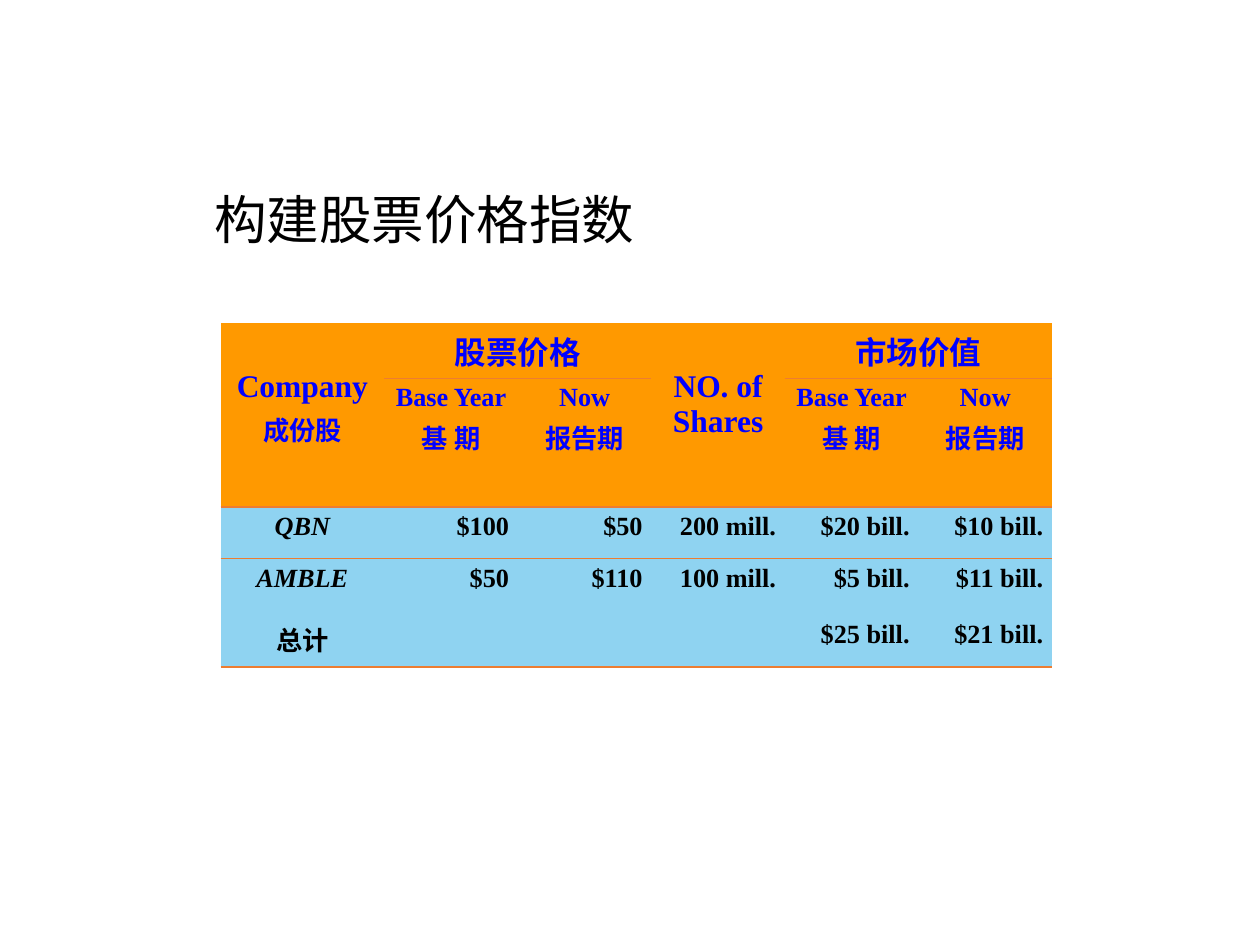
from lxml.etree import SubElement
from pptx import Presentation
from pptx.dml.color import RGBColor
from pptx.enum.text import MSO_ANCHOR as Anchor, PP_ALIGN as Align
from pptx.oxml.ns import qn
from pptx.util import Inches, Pt

WIDTH, HEIGHT = 10, 7.5
LATIN, CJK = "Times New Roman", "Noto Sans CJK SC"
PLAIN_TABLE = "{2D5ABB26-0587-4C30-8999-92F81FD0307C}"
COLORS = {
    "title": "000000",
    "head_text": "0101FF",
    "head_fill": "FF9900",
    "body_text": "000000",
    "body_fill": "8FD3F1",
    "rule": "ED7D31",
}


def color(name):
    return RGBColor.from_string(COLORS[name])


class SlideBuilder:
    def __init__(self, slide):
        self.slide = slide

    def place(self, left, top, width, height):
        return (Inches(left * WIDTH), Inches(top * HEIGHT),
                Inches(width * WIDTH), Inches(height * HEIGHT))

    def set_margins(self, holder, top=0.04):
        holder.margin_left = holder.margin_right = Inches(0.07)
        holder.margin_top, holder.margin_bottom = Inches(top), Inches(0.04)

    def style_run(self, run, size, color_name, latin=LATIN, bold=False, italic=False):
        font = run.font
        font.size, font.bold, font.italic = Pt(size), bold, italic
        font.color.rgb = color(color_name)
        font.name = latin
        SubElement(run.font._element, qn("a:ea"), typeface=CJK)

    def title(self, text, area):
        box = self.slide.shapes.add_textbox(*self.place(*area))
        frame = box.text_frame
        frame.word_wrap = True
        frame.vertical_anchor = Anchor.TOP
        self.set_margins(frame)
        frame.text = text
        heading = frame.paragraphs[0]
        heading.line_spacing = 0.9
        self.style_run(heading.runs[0], 30, "title", CJK)

    def table(self, area, column_widths, row_heights):
        frame = self.slide.shapes.add_table(
            len(row_heights), len(column_widths), *self.place(*area))
        table = frame.table
        table._tbl.tblPr.find(qn("a:tableStyleId")).text = PLAIN_TABLE
        for column, width in zip(table.columns, column_widths):
            column.width = Inches(width)
        for row, height in zip(table.rows, row_heights):
            row.height = Inches(height)
        return table

    def cell(self, cell, text, part, align, sizes=(15, 15), italic=False, top=0.04):
        self.set_margins(cell, top)
        cell.text_frame.text = text
        for index, paragraph in enumerate(cell.text_frame.paragraphs):
            paragraph.alignment = align
            if index:
                paragraph.space_before = Pt(0.2 * sizes[index])
            for run in paragraph.runs:
                self.style_run(run, sizes[index], part + "_text", bold=True, italic=italic)

    def finish_cell(self, cell, part, ruled_sides):
        properties = cell._tc.get_or_add_tcPr()
        for side in ruled_sides:
            line = SubElement(properties, qn("a:" + side), w=str(Pt(1)))
            fill = SubElement(line, qn("a:solidFill"))
            SubElement(fill, qn("a:srgbClr"), val=COLORS["rule"])
        cell.fill.solid()
        cell.fill.fore_color.rgb = color(part + "_fill")


def main():
    deck = Presentation()
    deck.slide_width, deck.slide_height = Inches(WIDTH), Inches(HEIGHT)
    builder = SlideBuilder(deck.slides.add_slide(deck.slide_layouts[6]))
    builder.title("构建股票价格指数", (0.163, 0.2, 0.675, 0.095))

    heights = [0.44, 1.02, 0.41, 0.45, 0.41]
    table = builder.table((0.175, 0.342, 0.661, 0.364), [1.3] + [1.06] * 5, heights)

    for column, text in ((0, "Company\n成份股"), (3, "NO. of Shares")):
        table.cell(0, column).merge(table.cell(1, column))
        builder.cell(table.cell(0, column), text, "head", Align.CENTER, (18, 15), top=0.37)

    for column, group in ((1, "股票价格"), (4, "市场价值")):
        table.cell(0, column).merge(table.cell(0, column + 1))
        builder.cell(table.cell(0, column), group, "head", Align.CENTER, (18,))
        for offset, period in enumerate(("Base Year\n基 期", "Now\n报告期")):
            builder.cell(table.cell(1, column + offset), period, "head", Align.CENTER)

    holdings = [
        ("QBN", "$100", "$50", "200 mill.", "$20 bill.", "$10 bill."),
        ("AMBLE", "$50", "$110", "100 mill.", "$5 bill.", "$11 bill."),
        ("总计", "", "", "", "$25 bill.", "$21 bill."),
    ]
    for row, values in enumerate(holdings, start=2):
        for column, value in enumerate(values):
            builder.cell(table.cell(row, column), value, "body",
                         Align.RIGHT if column else Align.CENTER,
                         italic=column == 0 and value != "总计")

    last = len(heights) - 1
    for row in range(len(heights)):
        for column in range(len(table.columns)):
            sides = []
            if row == 2 or row == 1 and column not in (0, 3):
                sides.append("lnT")
            if row in (1, last):
                sides.append("lnB")
            builder.finish_cell(table.cell(row, column), "head" if row < 2 else "body", sides)

    deck.save("out.pptx")


if __name__ == "__main__":
    main()
